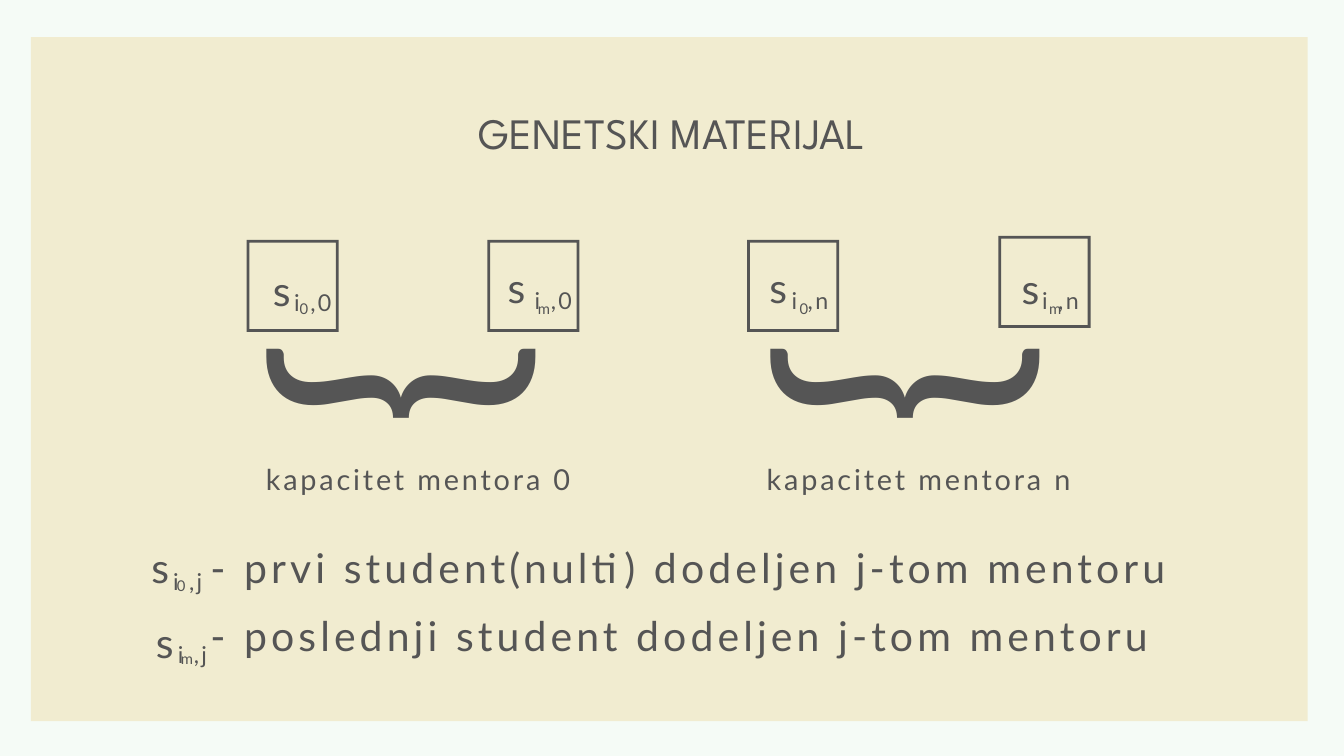
from pptx import Presentation
from pptx.dml.color import RGBColor as Rgb
from pptx.enum.shapes import MSO_SHAPE as Kind
from pptx.enum.text import MSO_ANCHOR as Anchor, MSO_AUTO_SIZE as Fit, PP_ALIGN as Align
from pptx.util import Cm, Pt

INK = "555555"


def paint(fill, color):
    fill.solid()
    fill.fore_color.rgb = Rgb.from_string(color)


def write(box, text, size, font="Lato", lead=1.4, space=0.1, align=Align.CENTER):
    frame = box.text_frame
    frame.margin_left = frame.margin_right = frame.margin_top = frame.margin_bottom = 0
    frame.word_wrap = True
    frame.auto_size = Fit.SHAPE_TO_FIT_TEXT
    frame.vertical_anchor = Anchor.TOP
    para = frame.paragraphs[0]
    para.alignment = align
    para.line_spacing = Pt(round(size * lead, 1))
    para.space_before = Pt(0)
    run = para.add_run()
    run.text = text
    run.font.name = font
    run.font.size = Pt(size)
    paint(run.font.fill, INK)
    if space:
        run.font._element.set("spc", str(round(size * space * 100)))


deck = Presentation()
deck.slide_width = Cm(50.8)
deck.slide_height = Cm(28.58)
slide = deck.slides.add_slide(deck.slide_layouts[5])
paint(slide.background.fill, "F5FBF6")
shapes = slide.shapes

panel = shapes.add_shape(Kind.RECTANGLE, Cm(1.17), Cm(1.4), Cm(48.26), Cm(25.86))
panel.shadow.inherit = False
paint(panel.fill, "F1ECD0")
panel.line.fill.background()

title = shapes.title
panel._element.addnext(title._element)
title.left, title.top, title.width, title.height = Cm(8.92), Cm(4.01), Cm(32.97), Cm(1.96)
write(title, "GENETSKI MATERIJAL", 46.5, "League Spartan", 1.2, 0)

for left, top in [(9.32, 9.07), (18.42, 9.07), (28.24, 9.07), (37.74, 8.92)]:
    gene = shapes.add_shape(Kind.FRAME, Cm(left), Cm(top), Cm(3.48), Cm(3.48))
    gene.adjustments[0] = 0.03
    gene.shadow.inherit = False
    paint(gene.fill, INK)
    gene.line.fill.background()

for left, edge, name in [(15.9, 9.32, "0"), (34.93, 28.24, "n")]:
    brace = shapes.add_textbox(Cm(left), Cm(6.65), Cm(3.02), Cm(15.37))
    brace.rotation = 90
    write(brace, "}", 316.4)
    label = shapes.add_textbox(Cm(edge), Cm(17.22), Cm(12.98), Cm(1.55))
    write(label, f"kapacitet mentora {name}", 30.9)

signs = [
    ((9.8, 9.73, 1.7), (10.95, 10.72, 1.75), (11.07, 11.2), "0", "0"),
    ((19, 9.6, 1.04), (20.04, 10.64, 1.75), (20.14, 11.2), "m", "0"),
    ((28.6, 9.6, 1.63), (29.74, 10.64, 1.75), (29.97, 11.2), "0", "n"),
    ((38.15, 9.65, 1.6), (38.94, 10.64, 2.29), (39.47, 11.2), "m", "n"),
    ((5.21, 20.19, 1.7), (6.22, 21.26, 1.75), (6.43, 21.67), "0", "j"),
    ((5.38, 23.04, 1.7), (6.4, 24.03, 1.75), (6.65, 24.43), "m", "j"),
]
for base, index, sub, order, mentor in signs:
    parts = [
        (base, 2.16, "s", 43.9),
        (index, 1.22, f"i ,{mentor}", 24.9),
        ((*sub, 0.84), 0.81, order, 15.9),
    ]
    for (left, top, width), height, text, size in parts:
        box = shapes.add_textbox(Cm(left), Cm(top), Cm(width), Cm(height))
        write(box, text, size)

notes = [
    (20.19, "- prvi student(nulti) dodeljen j-tom mentoru"),
    (22.76, "- poslednji student dodeljen j-tom mentoru"),
]
for top, text in notes:
    note = shapes.add_textbox(Cm(7.95), Cm(top), Cm(37.64), Cm(2.16))
    write(note, text, 43.9, align=Align.LEFT)

deck.save("out.pptx")
